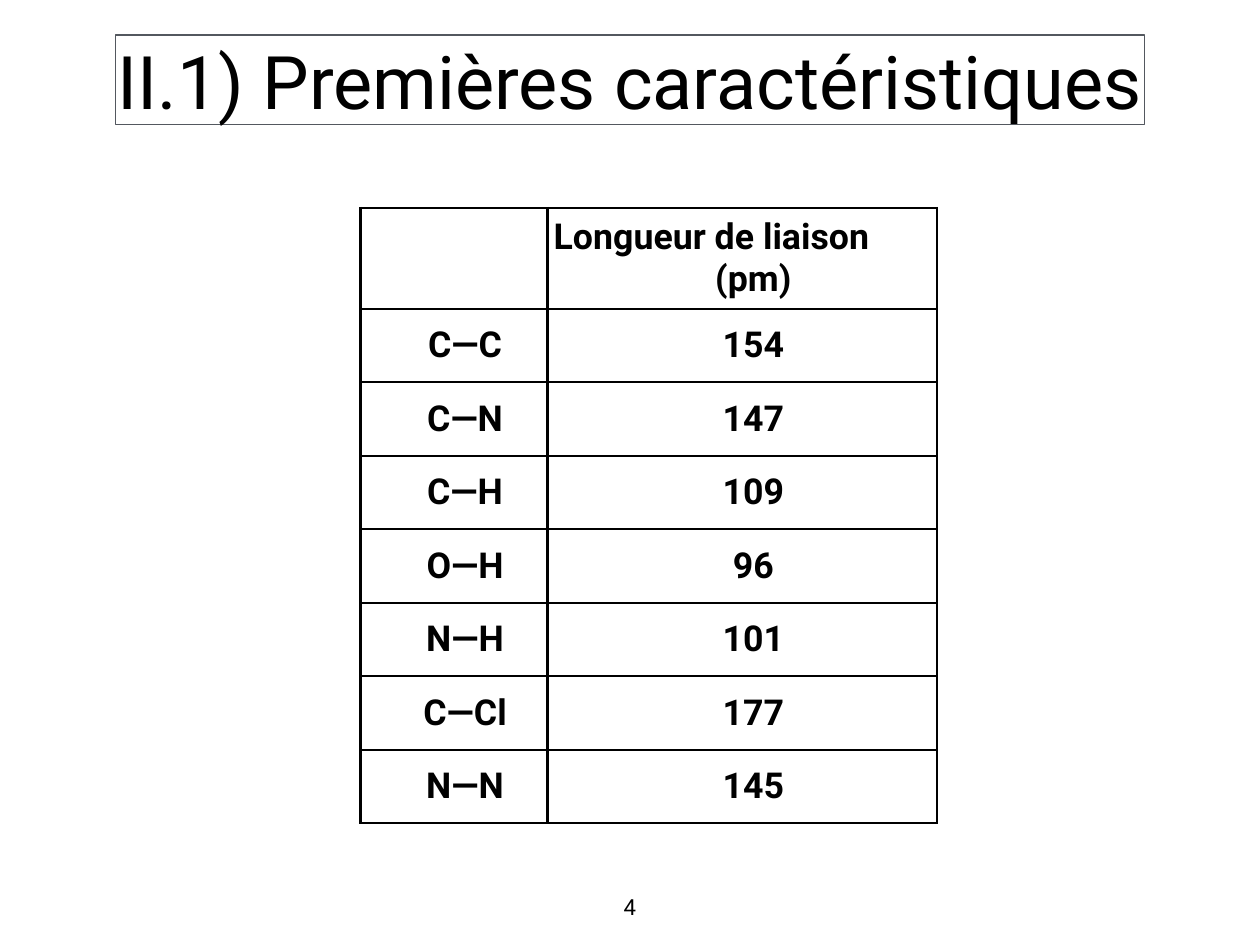
import pptx
import pptx.dml.color
import pptx.enum.shapes
import pptx.enum.text
import pptx.oxml
import pptx.oxml.ns
import pptx.util

Pt = pptx.util.Pt
ALIGN = pptx.enum.text.PP_ALIGN
MIDDLE = pptx.enum.text.MSO_ANCHOR.MIDDLE

BLACK = pptx.dml.color.RGBColor(0x00, 0x00, 0x00)
WHITE = pptx.dml.color.RGBColor(0xFF, 0xFF, 0xFF)
GREY = pptx.dml.color.RGBColor(0x53, 0x58, 0x5F)

FONT = "Roboto"
INDENT = Pt(18)
INSET = Pt(5)
COLS = (152, 316.5)
HEAD, ROW = 82, 59.75
BONDS = (
    ("C—C", "154"),
    ("C—N", "147"),
    ("C—H", "109"),
    ("O—H", "96"),
    ("N—H", "101"),
    ("C—Cl", "177"),
    ("N—N", "145"),
)


def style(para, size, bold=False, align=ALIGN.CENTER):
    para.alignment = align
    font = para.font
    font.name = FONT
    font.size = Pt(size)
    font.bold = bold
    font.color.rgb = BLACK


def set_margins(target, inset):
    target.margin_left = target.margin_right = inset
    target.margin_top = target.margin_bottom = inset


def add_title(slide, text):
    box = slide.shapes.add_shape(
        pptx.enum.shapes.MSO_SHAPE.RECTANGLE,
        Pt(93.6), Pt(28.4), Pt(836.6), Pt(72.7))
    box.shadow.inherit = False
    box.fill.background()
    box.line.color.rgb = GREY
    box.line.width = Pt(1)
    frame = box.text_frame
    frame.word_wrap = False
    frame.vertical_anchor = MIDDLE
    set_margins(frame, 0)
    frame.text = text
    style(frame.paragraphs[0], 60)


def add_number(slide, text):
    box = slide.shapes.add_textbox(Pt(502.6), Pt(725.8), Pt(18.7), Pt(22.3))
    frame = box.text_frame
    frame.word_wrap = True
    set_margins(frame, 0)
    frame.text = text
    style(frame.paragraphs[0], 18)


def add_borders(cell):
    """Draw black 2-point lines; they must precede the fill in the XML."""
    props = cell._tc.get_or_add_tcPr()
    for place, side in enumerate(("lnL", "lnR", "lnT", "lnB")):
        props.insert(place, pptx.oxml.parse_xml(
            f'<a:{side} {pptx.oxml.ns.nsdecls("a")} w="{Pt(2)}">'
            f'<a:solidFill><a:srgbClr val="{BLACK}"/></a:solidFill>'
            f'</a:{side}>'))


def fill_cell(cell, text):
    cell.fill.solid()
    cell.fill.fore_color.rgb = WHITE
    add_borders(cell)
    cell.vertical_anchor = MIDDLE
    set_margins(cell, INSET)
    cell.text_frame.text = text
    for para in cell.text_frame.paragraphs:
        style(para, 29, bold=True)
        props = para._p.get_or_add_pPr()
        props.set("marL", "0")
        props.set("indent", str(INDENT))


def add_bonds(slide):
    rows = (("", "Longueur de liaison\n(pm)"),) + BONDS
    frame = slide.shapes.add_table(
        len(rows), len(COLS), Pt(293), Pt(169),
        Pt(sum(COLS)), Pt(HEAD + ROW * len(BONDS)))
    table = frame.table
    table.first_row = table.horz_banding = False
    for col, width in zip(table.columns, COLS):
        col.width = Pt(width)
    for r, texts in enumerate(rows):
        table.rows[r].height = Pt(ROW if r else HEAD)
        for c, text in enumerate(texts):
            fill_cell(table.cell(r, c), text)

    label = table.cell(0, 1).text_frame.paragraphs[0]
    label.alignment = ALIGN.LEFT
    label._p.get_or_add_pPr().set("indent", "0")


def main():
    deck = pptx.Presentation()
    deck.slide_width = Pt(1024)
    deck.slide_height = Pt(768)
    slide = deck.slides.add_slide(deck.slide_layouts[6])
    add_title(slide, "II.1) Premières caractéristiques")
    add_number(slide, "4")
    add_bonds(slide)
    deck.save("out.pptx")


if __name__ == "__main__":
    main()
